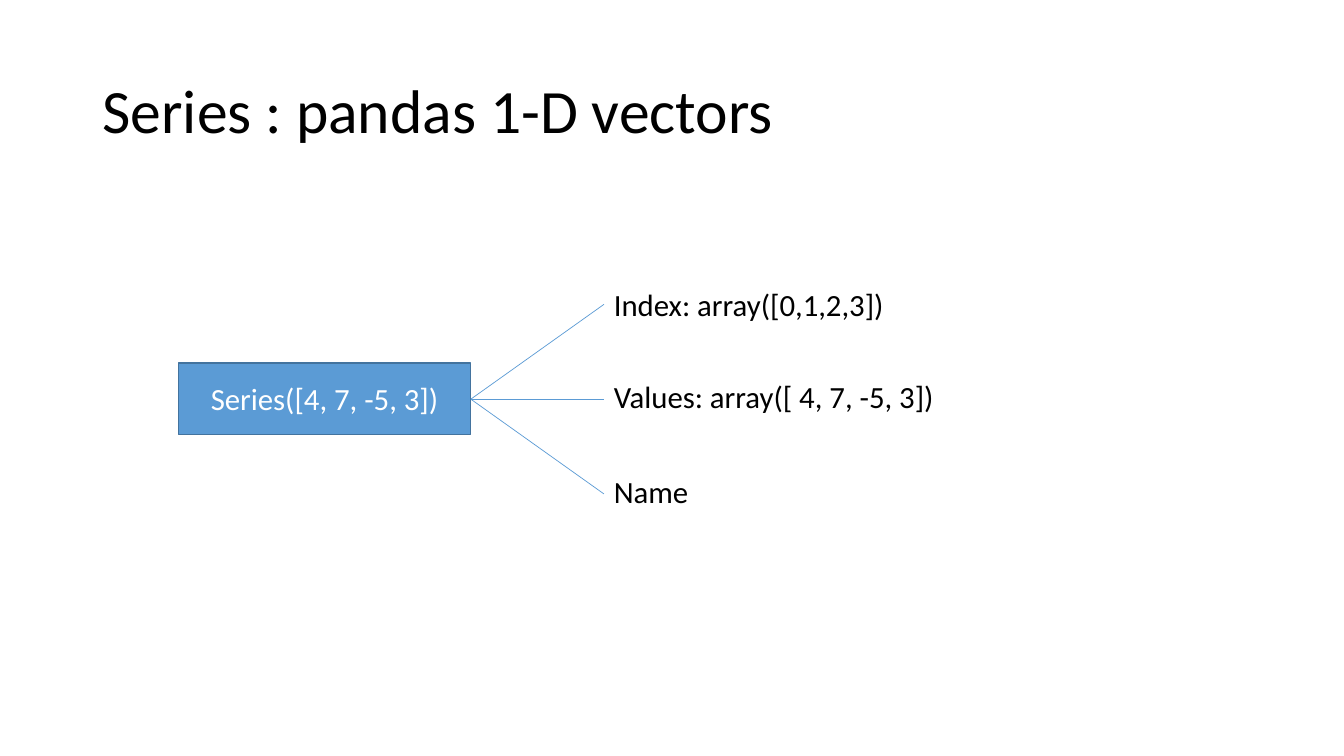
import pptx
import pptx.util
import pptx.dml.color
import pptx.enum.shapes
import pptx.enum.text
import pptx.oxml.ns
import lxml.etree

Inches = pptx.util.Inches
Pt = pptx.util.Pt
Anchor = pptx.enum.text.MSO_ANCHOR
Align = pptx.enum.text.PP_ALIGN


def paint(code):
    return pptx.dml.color.RGBColor.from_string(code)


def apply(target, values):
    for key, value in values.items():
        setattr(target, key, value)


class Deck:
    font = "Calibri"
    size = 22
    ink = "000000"
    blue = "5B9BD5"
    edge = "43739E"
    white = "FFFFFF"

    def __init__(self, width, height):
        self.show = pptx.Presentation()
        apply(self.show, {"slide_width": Inches(width), "slide_height": Inches(height)})
        self.slide = self.show.slides.add_slide(self.show.slide_layouts[6])

    def label(self, shape, words, size, color, frame, para):
        apply(shape.text_frame, {"word_wrap": True, **frame})
        line = shape.text_frame.paragraphs[0]
        apply(line, para)
        run = line.add_run()
        run.text = words
        apply(run.font, {"name": self.font, "size": Pt(size)})
        run.font.color.rgb = paint(color)

    def text(self, place, words, size=size, frame={}, para={}):
        box = self.slide.shapes.add_textbox(*map(Inches, place))
        self.label(box, words, size, self.ink, frame, para)

    def block(self, place, words):
        kind = pptx.enum.shapes.MSO_SHAPE.RECTANGLE
        box = self.slide.shapes.add_shape(kind, *map(Inches, place))
        box.shadow.inherit = False
        box.fill.solid()
        box.fill.fore_color.rgb = paint(self.blue)
        box.line.color.rgb = paint(self.edge)
        box.line.width = Pt(1)
        self.label(box, words, self.size, self.white,
                   {"vertical_anchor": Anchor.MIDDLE}, {"alignment": Align.CENTER})

    def line(self, start, end):
        kind = pptx.enum.shapes.MSO_CONNECTOR.STRAIGHT
        link = self.slide.shapes.add_connector(kind, *map(Inches, start + end))
        link.line.color.rgb = paint(self.blue)
        link.line.width = Pt(0.5)
        props = link._element.spPr
        lxml.etree.SubElement(props, pptx.oxml.ns.qn("a:effectLst"))


def main():
    deck = Deck(13.33, 7.5)
    deck.text((0.92, 0.4, 11.5, 1.45), "Series : pandas 1-D vectors", 44,
              {"vertical_anchor": Anchor.MIDDLE}, {"line_spacing": 0.9})
    deck.block((1.77, 3.6, 2.9, 0.71), "Series([4, 7, -5, 3])")

    hub, left, step = (4.67, 3.96), 5.99, 0.94
    parts = [
        (2.79, 3.7, "Index: array([0,1,2,3])"),
        (3.7, 5.19, "Values: array([ 4, 7, -5, 3])"),
        (4.64, 3.7, "Name"),
    ]
    for row, (top, width, words) in enumerate(parts):
        deck.text((left, top, width, 0.47), words)
        deck.line(hub, (left, hub[1] + (row - 1) * step))

    deck.show.save("out.pptx")


if __name__ == "__main__":
    main()
